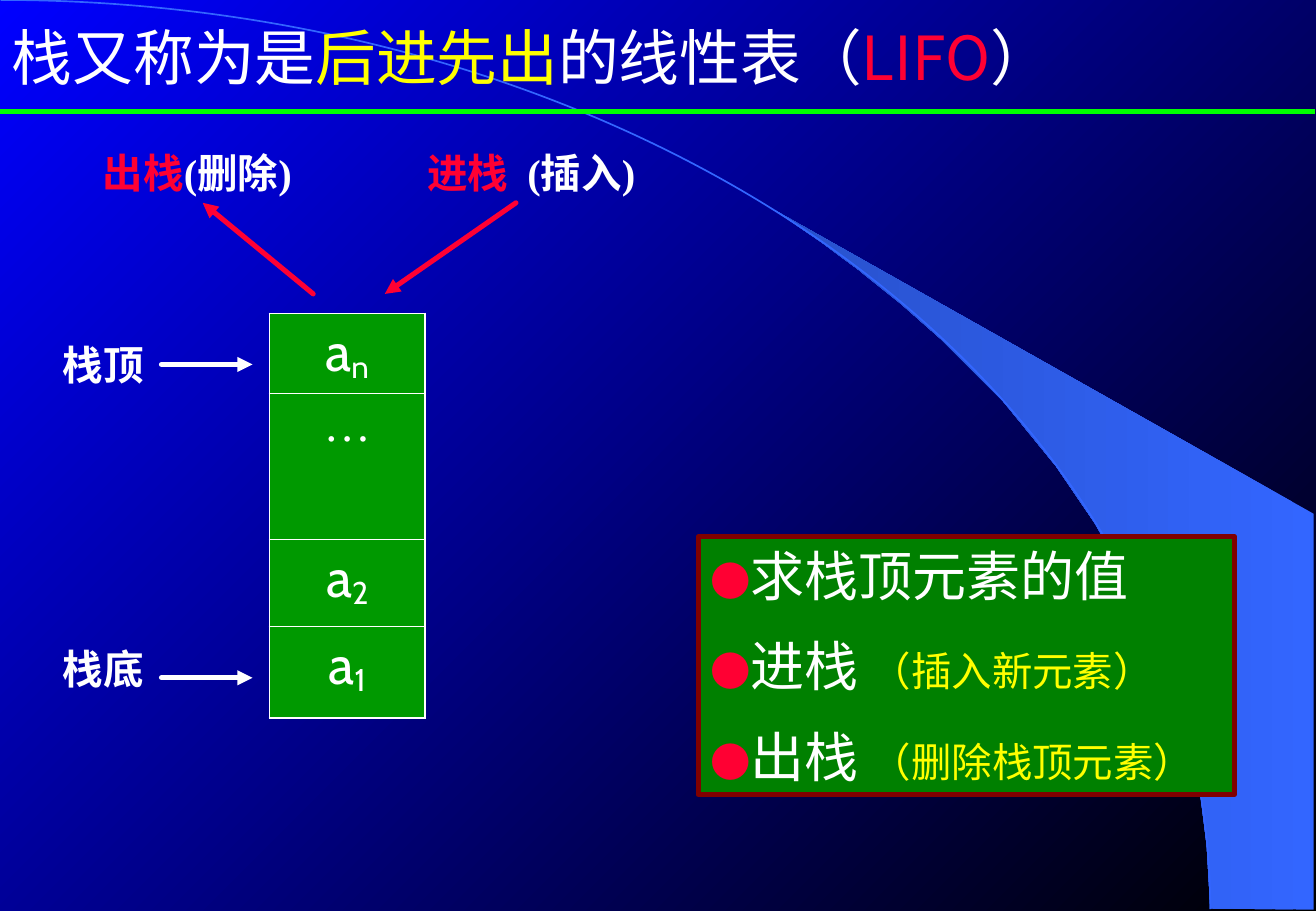
from pptx import Presentation
from pptx.dml.color import RGBColor
from pptx.enum.shapes import MSO_CONNECTOR as CONN, MSO_SHAPE as SHAPE
from pptx.enum.text import MSO_ANCHOR as ANCHOR, PP_ALIGN as ALIGN
from pptx.oxml.ns import qn
from pptx.util import Inches, Pt
from lxml.etree import SubElement

C = {"white": "FFFFFF", "yellow": "FFFF00", "red": "FF0033", "lime": "00FF00",
     "cell": "009900", "panel": "008000", "frame": "800000", "black": "000000",
     "blue": "0000FF", "sky": "3366FF", "shade": "2851CB"}
SANS, SERIF, LATIN = "Noto Sans CJK SC", "Times New Roman", "Cabin"

TITLE = [[("栈又称为是", "white", 36, SANS), ("后进先出", "yellow", 36, SANS),
          ("的线性表（", "white", 36, SANS), ("LIFO", "red", 36, SANS),
          ("）", "white", 36, SANS)]]
LABELS = [
    (0.42, 2.75, 0.92, 0.5, [("栈顶", "white")]),
    (0.42, 5.25, 0.92, 0.5, [("栈底", "white")]),
    (0.75, 1.17, 1.92, 0.9, [("出栈", "red"), ("(删除)", "white")]),
    (3.42, 1.17, 2.08, 0.9, [("进栈", "red"), (" ", "red", {"spc": "600"}),
                             ("(插入)", "white")]),
]
OPERATIONS = [("求栈顶元素的值", ""), ("进栈 ", "（插入新元素）"),
              ("出栈 ", "（删除栈顶元素）")]
STACK = [("a", "n", 0.66), ("…", "", 1.2), ("a", "2", 0.72), ("a", "1", 0.75)]
ARROWS = [
    (1.33, 3, 2.08, 3, "white"),
    (1.33, 5.58, 2.08, 5.58, "white"),
    (4.25, 1.67, 3.17, 2.42, "red"),
    (2.58, 2.42, 1.67, 1.67, "red"),
]
WEDGE = [(9.97, 7.48), (10.82, 7.49), (10.82, 4.23), (6.38, 1.73), (6.76, 1.99),
         (7.07, 2.22), (7.42, 2.5), (7.76, 2.8), (8.26, 3.3), (8.7, 3.84),
         (9.02, 4.31), (9.29, 4.79), (9.51, 5.28), (9.68, 5.72), (9.78, 6.09),
         (9.89, 6.56), (9.94, 6.96)]


def rgb(name):
    return RGBColor.from_string(C[name])


def box(*lengths):
    return [Inches(v) for v in lengths]


def gradient(fill, start, end, angle):
    fill.gradient()
    fill.gradient_angle = angle
    for stop, position, color in zip(fill.gradient_stops, (0, 1), (start, end)):
        stop.position = position
        stop.color.rgb = rgb(color)


def add_run(p, text, color, size, font, bold=False, extra=None):
    r = p.add_run()
    r.text = text
    for key, value in {"name": font, "size": Pt(size), "bold": bold}.items():
        setattr(r.font, key, value)
    r.font.color.rgb = rgb(color)
    rPr = r.font._element
    SubElement(rPr, qn("a:ea"), typeface=SANS)
    for key, value in (extra or {}).items():
        rPr.set(key, value)


def write(tf, paragraphs, align=ALIGN.LEFT, anchor=ANCHOR.TOP, before=0):
    tf.word_wrap = True
    tf.vertical_anchor = anchor
    for i, runs in enumerate(paragraphs):
        p = tf.add_paragraph() if i else tf.paragraphs[0]
        p.alignment = align
        if i:
            p.space_before = Pt(before)
        for run in runs:
            add_run(p, *run)


def add_line(s, x1, y1, x2, y2, color, arrow=False):
    line = s.shapes.add_connector(CONN.STRAIGHT, *box(x1, y1, x2, y2))
    line.line.color.rgb = rgb(color)
    line.line.width = Pt(3)
    if arrow:
        ln = line.line._get_or_add_ln()
        ln.set("cap", "rnd")
        SubElement(ln, qn("a:tailEnd"), type="triangle")
    SubElement(line._element.spPr, qn("a:effectLst"))


def add_borders(cell, first, last):
    tcPr = cell._tc.get_or_add_tcPr()
    widths = {"lnL": 1.08, "lnR": 1.08, "lnT": 1.08 if first else 0.45,
              "lnB": 1.08 if last else 0.45}
    for tag, width in widths.items():
        ln = SubElement(tcPr, qn("a:" + tag), w=str(Pt(width)))
        SubElement(SubElement(ln, qn("a:solidFill")), qn("a:srgbClr"), val=C["white"])


def add_backdrop(s):
    gradient(s.background.fill, "black", "blue", 135)
    points = [box(*point) for point in WEDGE]
    builder = s.shapes.build_freeform(*points[0])
    builder.add_line_segments(points[1:], close=True)
    wedge = builder.convert_to_shape()
    wedge.shadow.inherit = False
    gradient(wedge.fill, "sky", "shade", 180)
    wedge.line.fill.background()
    arc = s.shapes.add_shape(SHAPE.ARC, *box(-9.96, 0, 19.93, 14.97))
    arc.shadow.inherit = False
    arc.fill.background()
    arc.line.color.rgb = rgb("sky")
    arc.line.width = Pt(1)


def add_stack(s):
    height = sum(row[2] for row in STACK)
    table = s.shapes.add_table(len(STACK), 1, *box(2.22, 2.58, 1.28, height)).table
    table.first_row = table.horz_banding = False
    for i, (name, index, row_height) in enumerate(STACK):
        table.rows[i].height = Inches(row_height)
        cell = table.cell(i, 0)
        add_borders(cell, i == 0, i == len(STACK) - 1)
        cell.fill.solid()
        cell.fill.fore_color.rgb = rgb("cell")
        if index:
            runs = [(name, "white", 32, LATIN),
                    (index, "white", 32, LATIN, False, {"baseline": "-12000"})]
        else:
            runs = [(name, "white", 28, SERIF)]
        write(cell.text_frame, [runs], ALIGN.CENTER)


def add_operations(s):
    panel = s.shapes.add_shape(SHAPE.RECTANGLE, *box(5.75, 4.42, 4.42, 2.12))
    panel.shadow.inherit = False
    panel.fill.solid()
    panel.fill.fore_color.rgb = rgb("panel")
    panel.line.color.rgb = rgb("frame")
    panel.line.width = Pt(3)
    paragraphs = []
    for name, note in OPERATIONS:
        runs = [("●", "red", 24, SERIF), (name, "white", 32, SANS)]
        if note:
            runs.append((note, "yellow", 24, SANS))
        paragraphs.append(runs)
    write(panel.text_frame, paragraphs, before=15)


def main():
    prs = Presentation()
    prs.slide_width, prs.slide_height = box(10.84, 7.5)
    s = prs.slides.add_slide(prs.slide_layouts[6])
    add_backdrop(s)
    title = s.shapes.add_textbox(*box(0, 0, 9.33, 0.92))
    write(title.text_frame, TITLE, anchor=ANCHOR.MIDDLE)
    add_line(s, 0, 0.92, 10.83, 0.92, "lime")
    add_stack(s)
    for arrow in ARROWS:
        add_line(s, *arrow, arrow=True)
    for x, y, w, h, parts in LABELS:
        label = s.shapes.add_textbox(*box(x, y, w, h))
        runs = [(text, color, 24, SERIF, True, *extra) for text, color, *extra in parts]
        write(label.text_frame, [runs])
    add_operations(s)
    prs.save("out.pptx")


if __name__ == "__main__":
    main()
